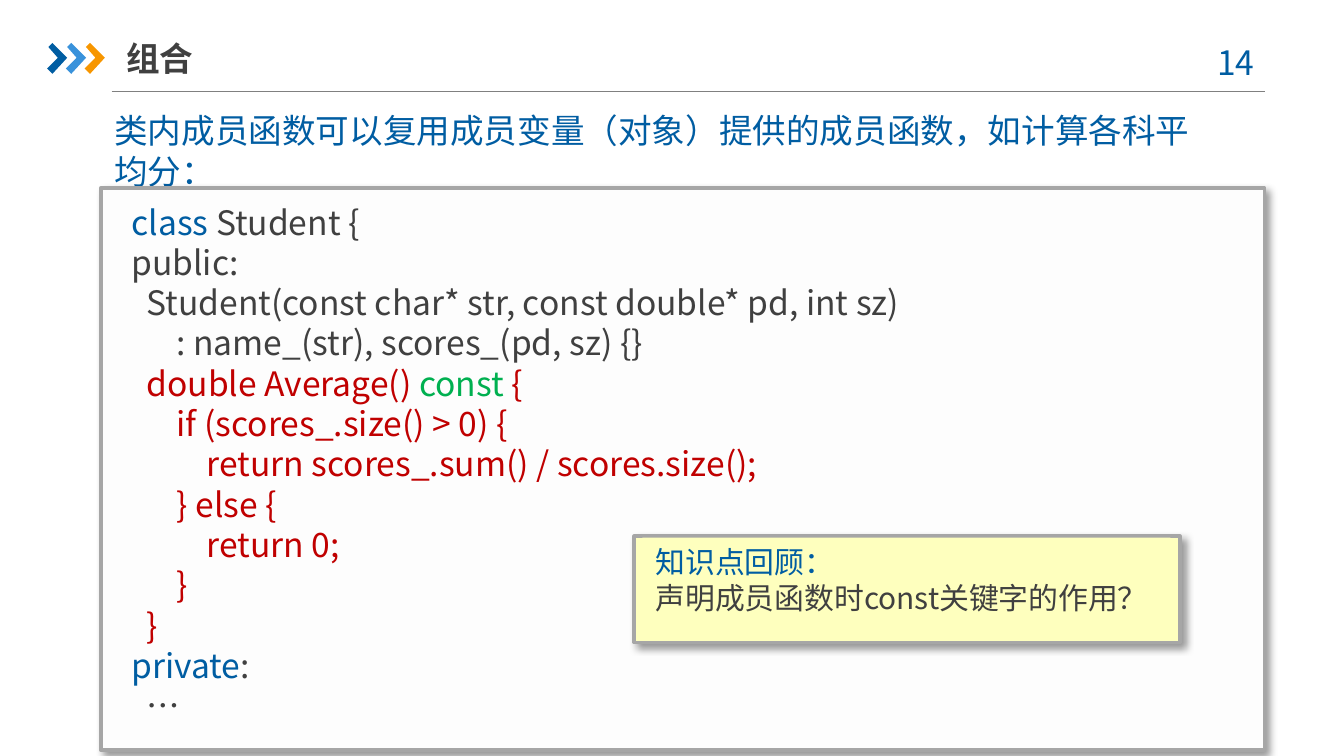
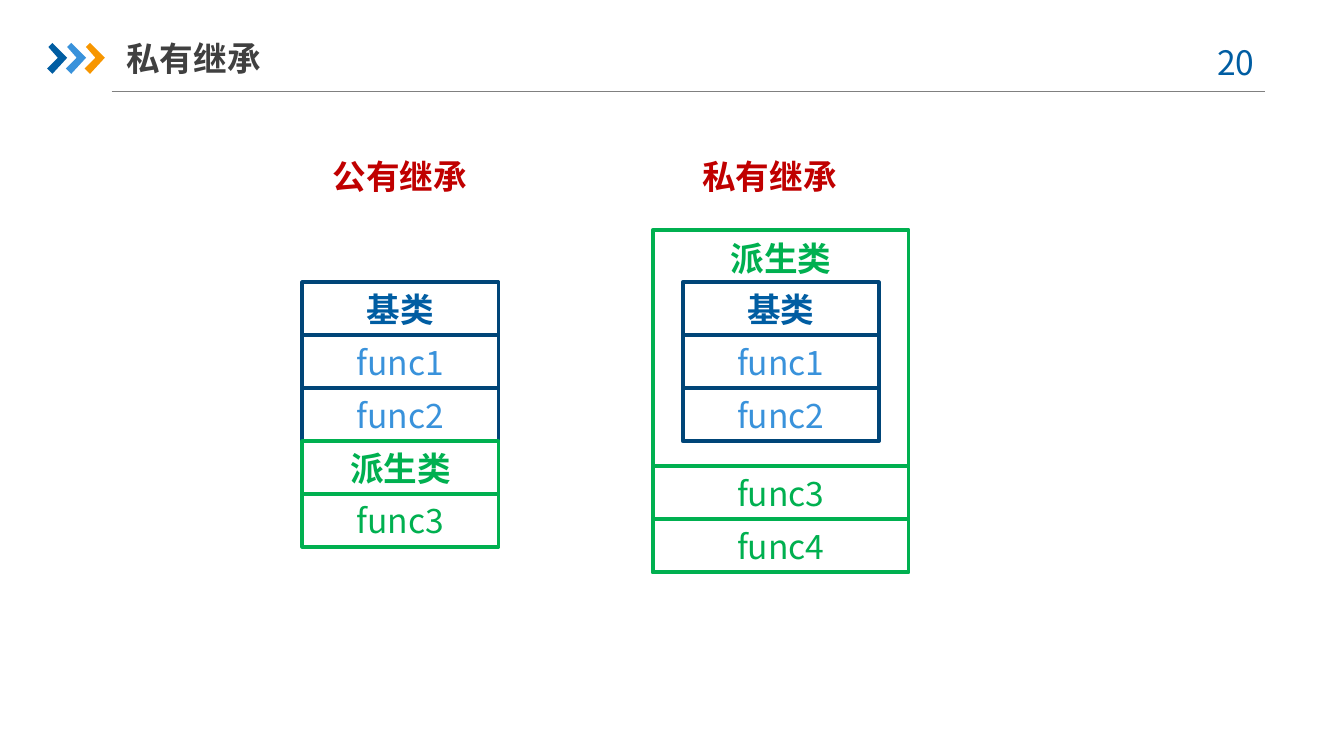
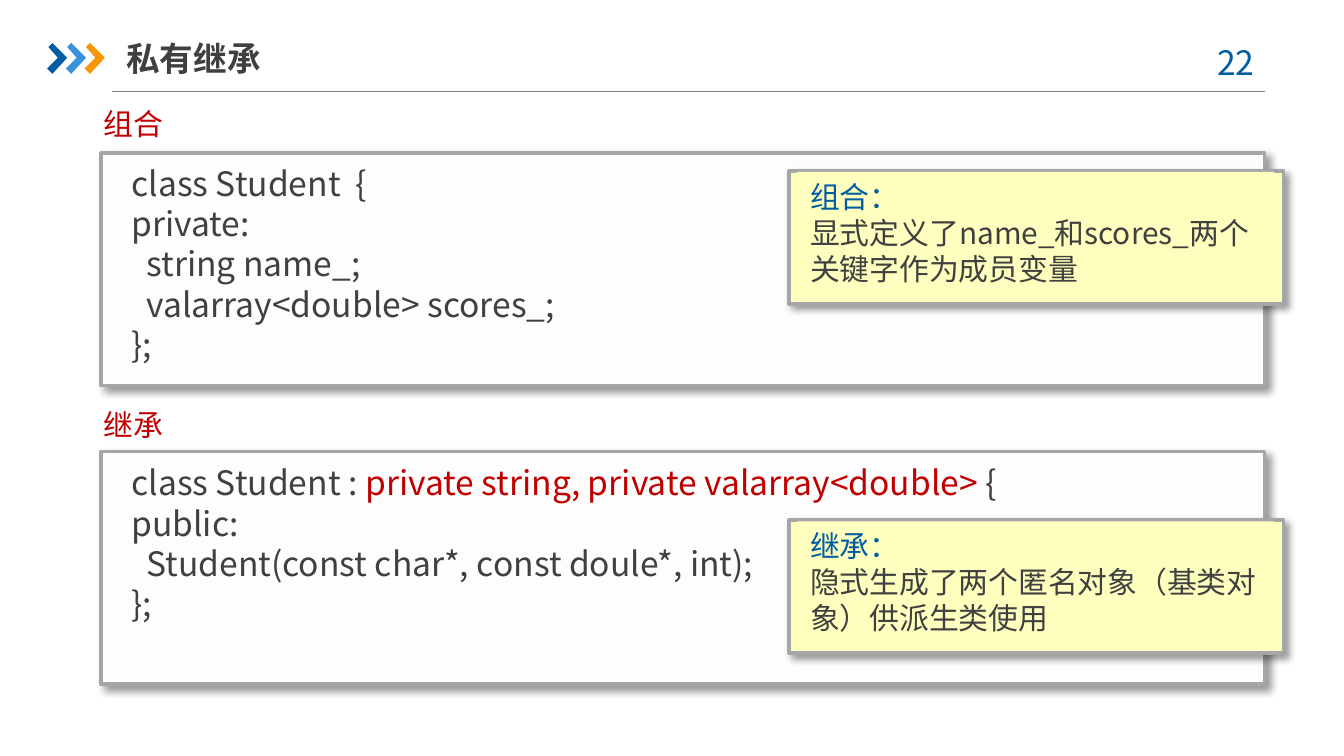
from dataclasses import dataclass

from lxml.etree import SubElement
from pptx import Presentation
from pptx.dml.color import RGBColor
from pptx.enum.shapes import MSO_CONNECTOR, MSO_SHAPE
from pptx.enum.text import MSO_ANCHOR, MSO_AUTO_SIZE, PP_ALIGN
from pptx.oxml.ns import qn
from pptx.util import Inches, Pt


@dataclass(frozen=True)
class Theme:
    font: str = "Noto Sans CJK SC"
    size: int = 18
    note_size: int = 16
    leading: float = 1.2
    outline: float = 2
    blue: str = "005DA2"
    navy: str = "004578"
    sky: str = "3992DB"
    orange: str = "F79600"
    red: str = "C00000"
    green: str = "00B050"
    ink: str = "404040"
    rule: str = "808080"
    border: str = "A6A6A6"
    panel: str = "FDFDFD"
    note: str = "FEFFBE"


THEME = Theme()
SLIDE_WIDTH = 10
SLIDE_HEIGHT = SLIDE_WIDTH * 9 / 16
ROW_HEIGHT = 1.97 / 5
FRAME_FORMAT = {
    "word_wrap": True,
    "auto_size": MSO_AUTO_SIZE.NONE,
    "margin_left": Inches(0.1),
    "margin_right": Inches(0.1),
    "margin_top": Inches(0.05),
    "margin_bottom": Inches(0.05),
}

# Content: each code line is a string or a list of (text, colour) runs
AVERAGE_CODE = [
    [("class ", THEME.blue), ("Student {", THEME.ink)],
    "public:",
    "  Student(const char* str, const double* pd, int sz)",
    "      : name_(str), scores_(pd, sz) {}",
    [("  double Average() ", THEME.red), ("const ", THEME.green), ("{", THEME.red)],
    [("      if (scores_.size() > 0) {", THEME.red)],
    [("          return scores_.sum() / scores.size();", THEME.red)],
    [("      } else {", THEME.red)],
    [("          return 0;", THEME.red)],
    [("      }", THEME.red)],
    [("  }", THEME.red)],
    [("private", THEME.blue), (":", THEME.ink)],
    "  …",
]
COMPOSITION_CODE = [
    "class Student  {",
    "private:",
    "  string name_;",
    "  valarray<double> scores_;",
    "};",
]
INHERITANCE_CODE = [
    [("class Student : ", THEME.ink),
     ("private string, private valarray<double> ", THEME.red),
     ("{", THEME.ink)],
    "public:",
    "  Student(const char*, const doule*, int);",
    "};",
]
BASE_CELLS = [
    ("基类", THEME.blue, THEME.navy, True),
    ("func1", THEME.sky, THEME.navy, False),
    ("func2", THEME.sky, THEME.navy, False),
]


def rgb(colour):
    return RGBColor.from_string(colour)


def inches(*lengths):
    return [Inches(length) for length in lengths]


def apply_format(target, values):
    for name, value in values.items():
        setattr(target, name, value)


# Text
def add_run(paragraph, text, colour, size, bold=False):
    run = paragraph.add_run()
    run.text = text
    apply_format(run.font, {"name": THEME.font, "size": Pt(size), "bold": bold})
    run.font.color.rgb = rgb(colour)
    SubElement(run.font._element, qn("a:ea")).set("typeface", THEME.font)


def write_text(shape, lines, colour=THEME.ink, size=THEME.size, bold=False,
               align=PP_ALIGN.LEFT, anchor=MSO_ANCHOR.TOP):
    frame = shape.text_frame
    apply_format(frame, FRAME_FORMAT | {"vertical_anchor": anchor})
    for index, line in enumerate(lines):
        paragraph = frame.add_paragraph() if index else frame.paragraphs[0]
        apply_format(paragraph, {
            "alignment": align,
            "line_spacing": Pt(size * THEME.leading),
            "space_before": Pt(0),
        })
        runs = [(line, colour)] if isinstance(line, str) else line
        for text, run_colour in runs:
            add_run(paragraph, text, run_colour, size, bold)
    return frame


def add_label(slide, box, text, **text_format):
    write_text(slide.shapes.add_textbox(*inches(*box)), [text], **text_format)


def place(placeholder, box):
    apply_format(placeholder, dict(zip(("left", "top", "width", "height"), inches(*box))))


# Shapes
def add_box(shapes, box, fill=None, line=None):
    shape = shapes.add_shape(MSO_SHAPE.RECTANGLE, *inches(*box))
    shape.shadow.inherit = False
    if fill:
        shape.fill.solid()
        shape.fill.fore_color.rgb = rgb(fill)
    else:
        shape.fill.background()
    if line:
        shape.line.color.rgb = rgb(line)
        shape.line.width = Pt(THEME.outline)
    else:
        shape.line.fill.background()
    return shape


def add_drop_shadow(shape):
    effects = shape._element.spPr.find(qn("a:effectLst"))
    shadow = SubElement(effects, qn("a:outerShdw"), blurRad=str(Pt(4)), dist=str(Pt(3)),
                        dir=str(45 * 60000), algn="tl", rotWithShape="0")
    black = SubElement(shadow, qn("a:srgbClr"), val="000000")
    SubElement(black, qn("a:alpha"), val="40000")


def add_panel(slide, frame_box, text_box, fill):
    shapes = slide.shapes.add_group_shape().shapes
    add_drop_shadow(add_box(shapes, frame_box, fill, THEME.border))
    return add_box(shapes, text_box, fill)


def add_code(slide, top, height, text_top, text_height, lines):
    body = add_panel(slide, (0.75, top, 8.66, height),
                     (0.88, text_top, 8.41, text_height), THEME.panel)
    write_text(body, lines)


def add_note(slide, box, text_height, heading, text):
    left, top, width, _ = box
    body = add_panel(slide, box, (left + 0.06, top + 0.01, width - 0.13, text_height), THEME.note)
    frame = write_text(body, [heading], THEME.blue, THEME.note_size)
    paragraph = frame.paragraphs[0]
    paragraph.space_after = Pt(6)
    paragraph.add_line_break()
    add_run(paragraph, text, THEME.ink, THEME.note_size)


def add_cells(slide, left, top, width, cells):
    for row, (text, colour, line, bold) in enumerate(cells):
        cell = add_box(slide.shapes, (left, top + row * ROW_HEIGHT, width, ROW_HEIGHT), line=line)
        write_text(cell, [text], colour, bold=bold,
                   align=PP_ALIGN.CENTER, anchor=MSO_ANCHOR.MIDDLE)


# Shared header: rule, chevrons, page number and title
def add_chevron(shapes, left, colour):
    outline = [(0.01, 0.35), (0.04, 0.32), (0.15, 0.43), (0.04, 0.55), (0, 0.51), (0.08, 0.43)]
    points = [(Inches(left + x), Inches(y)) for x, y in outline]
    builder = shapes.build_freeform(*points[0])
    builder.add_line_segments(points[1:], close=True)
    chevron = builder.convert_to_shape()
    chevron.shadow.inherit = False
    chevron.fill.solid()
    chevron.fill.fore_color.rgb = rgb(colour)
    chevron.line.fill.background()


def add_slide(presentation, layout_index, title, page):
    slide = presentation.slides.add_slide(presentation.slide_layouts[layout_index])
    rule = slide.shapes.add_connector(MSO_CONNECTOR.STRAIGHT, *inches(0.83, 0.68, 9.41, 0.68))
    rule.line.color.rgb = rgb(THEME.rule)
    rule.line.width = Pt(0.75)
    SubElement(rule._element.spPr, qn("a:effectLst"))
    chevrons = slide.shapes.add_group_shape().shapes
    for index, colour in enumerate((THEME.blue, THEME.sky, THEME.orange)):
        add_chevron(chevrons, 0.35 + 0.14 * index, colour)
    add_label(slide, (8.86, 0.26, 0.73, 0.4), f"{page} ",
              colour=THEME.blue, align=PP_ALIGN.CENTER)
    heading = slide.shapes.title
    place(heading, (0.94, 0.22, 2.57, 0.42))
    frame = write_text(heading, [title], bold=True, anchor=MSO_ANCHOR.MIDDLE)
    apply_format(frame, {"margin_left": 0, "margin_right": 0})
    return slide


# Slides
def build_average_slide(presentation):
    slide = add_slide(presentation, 1, "组合", 14)
    body = slide.placeholders[1]
    place(body, (0.75, 0.77, 8.27, 0.71))
    frame = write_text(
        body, ["类内成员函数可以复用成员变量（对象）提供的成员函数，如计算各科平均分："], THEME.blue)
    properties = frame.paragraphs[0]._p.get_or_add_pPr()
    properties.set("marL", "0")
    properties.set("indent", "0")
    SubElement(properties, qn("a:buNone"))
    add_code(slide, 1.4, 4.18, 1.45, 4.04, AVERAGE_CODE)
    add_note(slide, (4.72, 3.99, 4.06, 0.79), 0.64,
             "知识点回顾：", "声明成员函数时const关键字的作用？")


def build_diagram_slide(presentation):
    slide = add_slide(presentation, 5, "私有继承", 20)
    for left, text in ((2.33, "公有继承"), (5.08, "私有继承")):
        add_label(slide, (left, 1.11, 1.29, 0.4), text,
                  colour=THEME.red, bold=True, align=PP_ALIGN.CENTER)
    func3, func4 = [(name, THEME.green, THEME.green, False) for name in ("func3", "func4")]
    derived = ("派生类", THEME.green, THEME.green, True)
    # Public inheritance: one stack
    add_cells(slide, 2.25, 2.1, 1.46, BASE_CELLS + [derived, func3])
    # Private inheritance: base class enclosed by the derived class
    add_box(slide.shapes, (4.86, 1.71, 1.9, 2.55), line=THEME.green)
    add_label(slide, (3.31, 1.72, 5, 0.4), "派生类",
              colour=THEME.green, bold=True, align=PP_ALIGN.CENTER)
    add_cells(slide, 5.08, 2.1, 1.46, BASE_CELLS)
    add_cells(slide, 4.86, 3.47, 1.9, [func3, func4])


def build_comparison_slide(presentation):
    slide = add_slide(presentation, 5, "私有继承", 22)
    add_code(slide, 3.36, 1.73, 3.39, 1.31, INHERITANCE_CODE)
    add_code(slide, 1.14, 1.73, 1.16, 1.62, COMPOSITION_CODE)
    for top, text in ((0.74, "组合"), (2.98, "继承")):
        add_label(slide, (0.67, top, 2.99, 0.37), text, colour=THEME.red, size=THEME.note_size)
    add_note(slide, (5.87, 1.27, 3.68, 0.99), 0.9,
             "组合：", "显式定义了name_和scores_两个关键字作为成员变量")
    add_note(slide, (5.87, 3.87, 3.68, 0.99), 0.9,
             "继承：", "隐式生成了两个匿名对象（基类对象）供派生类使用")


def main():
    presentation = Presentation()
    presentation.slide_width, presentation.slide_height = inches(SLIDE_WIDTH, SLIDE_HEIGHT)
    build_average_slide(presentation)
    build_diagram_slide(presentation)
    build_comparison_slide(presentation)
    presentation.save("out.pptx")


if __name__ == "__main__":
    main()
